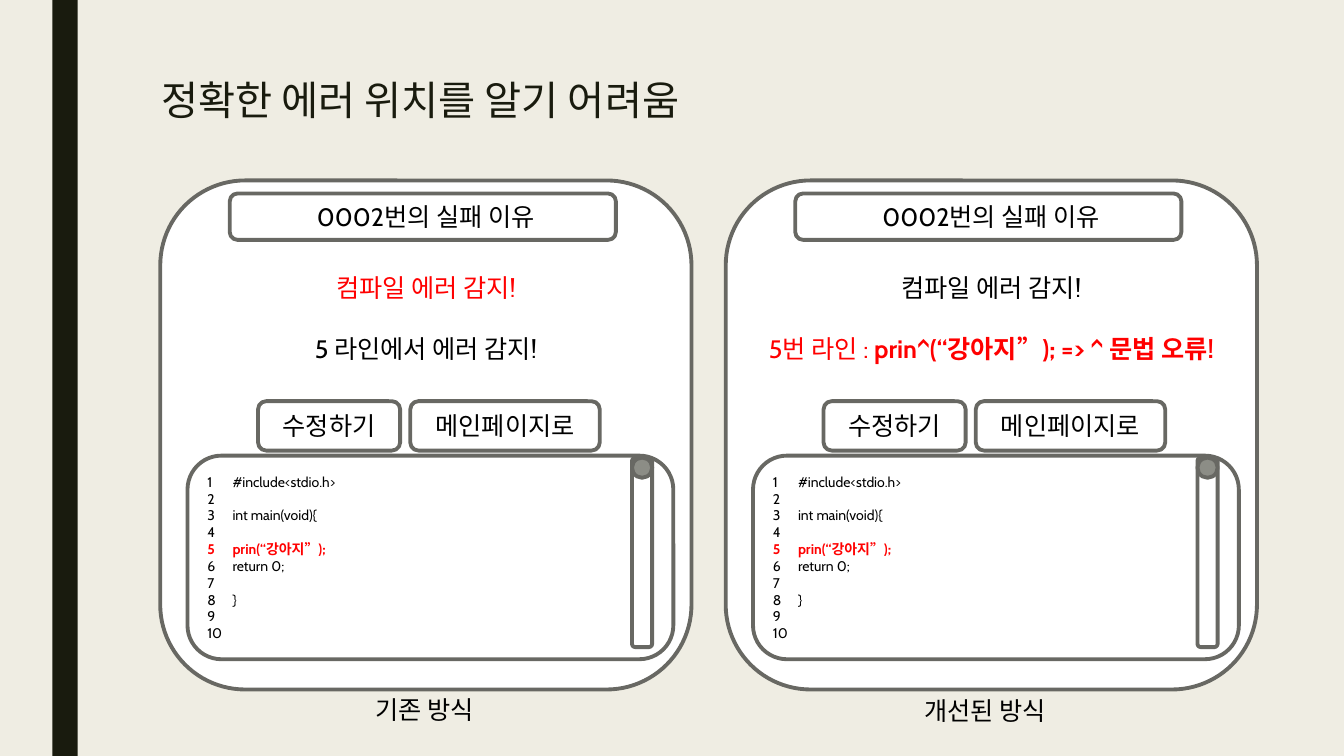
"""Build a slide that compares two ways of reporting a compile error."""
from lxml.etree import SubElement
from pptx import Presentation
from pptx.dml.color import RGBColor
from pptx.enum.shapes import MSO_SHAPE as Shape
from pptx.enum.text import MSO_ANCHOR as Anchor, PP_ALIGN as Align
from pptx.oxml.ns import qn
from pptx.util import Inches, Pt

CELL = 0.1
COLUMNS, ROWS = 133.33, 75
PANEL_TOP = 17.9
PANEL_LEFTS = (15.9, 72)
INK, RED, WHITE, GRAY = "000000", "FF0000", "FFFFFF", "686863"
LATIN, KOREAN = "Cabin", "Noto Sans CJK KR"
CODE = {1: "#include<stdio.h>", 3: "int main(void){", 5: "prin(“강아지”);",
        6: "return 0;", 8: "}"}
CODE_LINES, ERROR_LINE = 10, 5


def cells(*counts):
    """Turn counts of grid cells into lengths."""
    return [Inches(count * CELL) for count in counts]


def color(value):
    """Turn a hex string into a colour."""
    return RGBColor.from_string(value)


def style(para, size=18, ink=INK, bold=False, name=LATIN, align=Align.CENTER):
    """Set the font and alignment of a paragraph."""
    para.alignment = align
    font = para.font
    font.name, font.size, font.bold = name, Pt(size), bold
    font.color.rgb = color(ink)


def add_block(page, kind, place, fill=WHITE, line=GRAY):
    """Add a filled shape, outlined unless line is None."""
    block = page.shapes.add_shape(kind, *cells(*place))
    block.shadow.inherit = False
    block.fill.solid()
    block.fill.fore_color.rgb = color(fill)
    if line:
        block.line.color.rgb = color(line)
        block.line.width = Pt(2.75)
    else:
        block.line.fill.background()
    return block


def add_label(page, place, text):
    """Add a rounded box with one centred line of text."""
    frame = add_block(page, Shape.ROUNDED_RECTANGLE, place).text_frame
    frame.vertical_anchor = Anchor.MIDDLE
    frame.text = text
    style(frame.paragraphs[0])


def add_text(page, place, text, wrap=False, **look):
    """Add a plain text box and return its paragraph."""
    frame = page.shapes.add_textbox(*cells(*place)).text_frame
    frame.word_wrap = wrap
    frame.text = text
    para = frame.paragraphs[0]
    style(para, align=Align.LEFT, **look)
    return para


def number_line(para, number):
    """Give a paragraph an automatic line number in a hanging indent."""
    props = para._p.get_or_add_pPr()
    indent = Inches(0.25)
    props.set("marL", str(indent))
    props.set("indent", str(-indent))
    bullet = SubElement(props, qn("a:buAutoNum"), type="arabicPlain", startAt=str(number))
    props.insert(0, bullet)


def add_code(page, left):
    """Add the code listing with its scroll bar."""
    box = add_block(page, Shape.ROUNDED_RECTANGLE, (left + 2.7, 45.2, 48.2, 20.2))
    frame = box.text_frame
    frame.vertical_anchor = Anchor.MIDDLE
    for number in range(1, CODE_LINES + 1):
        para = frame.paragraphs[0] if number == 1 else frame.add_paragraph()
        wrong = number == ERROR_LINE
        para.text = CODE.get(number, str(number))
        style(para, 10, RED if wrong else INK, wrong, align=Align.LEFT)
        if number in CODE:
            number_line(para, number)
    add_block(page, Shape.ROUNDED_RECTANGLE, (left + 46.8, 45.4, 2, 18.8))
    add_block(page, Shape.OVAL, (left + 46.8, 45.4, 2, 2), fill="8C8D86")


def add_panel(page, left, notice_ink, detail_ink, detail, strong=""):
    """Add one error screen: heading, messages, buttons and code."""
    panel = add_block(page, Shape.ROUNDED_RECTANGLE, (left, PANEL_TOP, 52.7, 50.5))
    frame = panel.text_frame
    frame.vertical_anchor = Anchor.TOP
    frame.margin_top = Inches(0.66)
    frame.text = "컴파일 에러 감지!"
    style(frame.paragraphs[0], ink=notice_ink)
    para = frame.add_paragraph()
    para.text = detail
    para.space_before = Pt(22)
    style(para, ink=detail_ink)
    if strong:
        span = para.add_run()
        span.text = strong
        span.font.bold = True
    add_label(page, (left + 6.9, 19.2, 38.3, 4.6), " 0002번의 실패 이유")
    add_code(page, left)
    add_label(page, (left + 9.7, 39.8, 14.1, 4.9), "수정하기")
    add_label(page, (left + 24.8, 39.8, 18.8, 4.9), "메인페이지로")


def main():
    """Build and save the slide."""
    deck = Presentation()
    deck.slide_width, deck.slide_height = cells(COLUMNS, ROWS)
    page = deck.slides.add_slide(deck.slide_layouts[6])
    page.background.fill.solid()
    page.background.fill.fore_color.rgb = color("EFEDE3")
    add_block(page, Shape.RECTANGLE, (5.2, 0, 2.5, ROWS), fill="191B0E", line=None)
    title = add_text(page, (15, 7.5, 105, 16.2), "정확한 에러 위치를 알기 어려움",
                     wrap=True, size=28.8, ink="191B0E", name=KOREAN)
    title.line_spacing = 0.89
    before, after = PANEL_LEFTS
    add_panel(page, before, RED, INK, "5 라인에서 에러 감지!")
    add_panel(page, after, INK, RED, "5번 라인 : ", "prin^(“강아지”); => ^ 문법 오류!")
    add_text(page, (36.3, 68.4, 12.7, 4), "기존 방식")
    add_text(page, (90.7, 68.5, 15.3, 4), "개선된 방식")
    deck.save("out.pptx")


if __name__ == "__main__":
    main()
